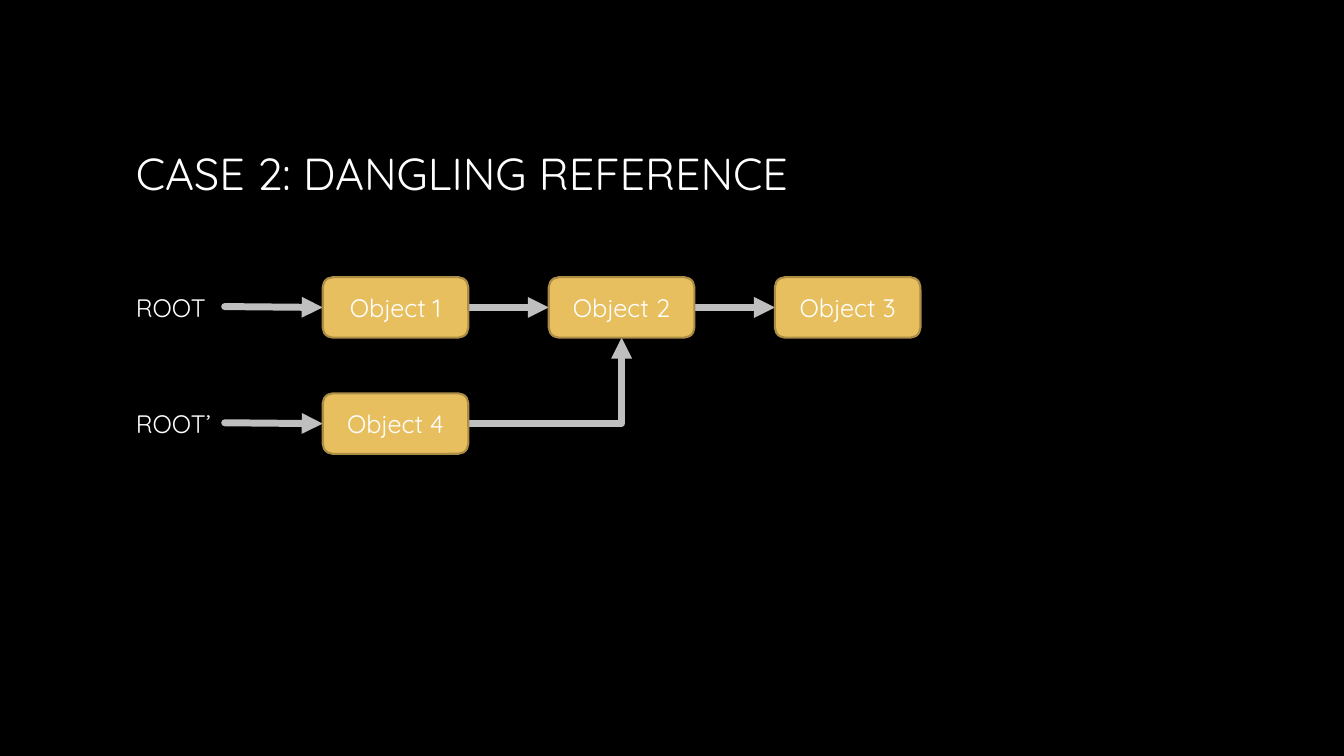
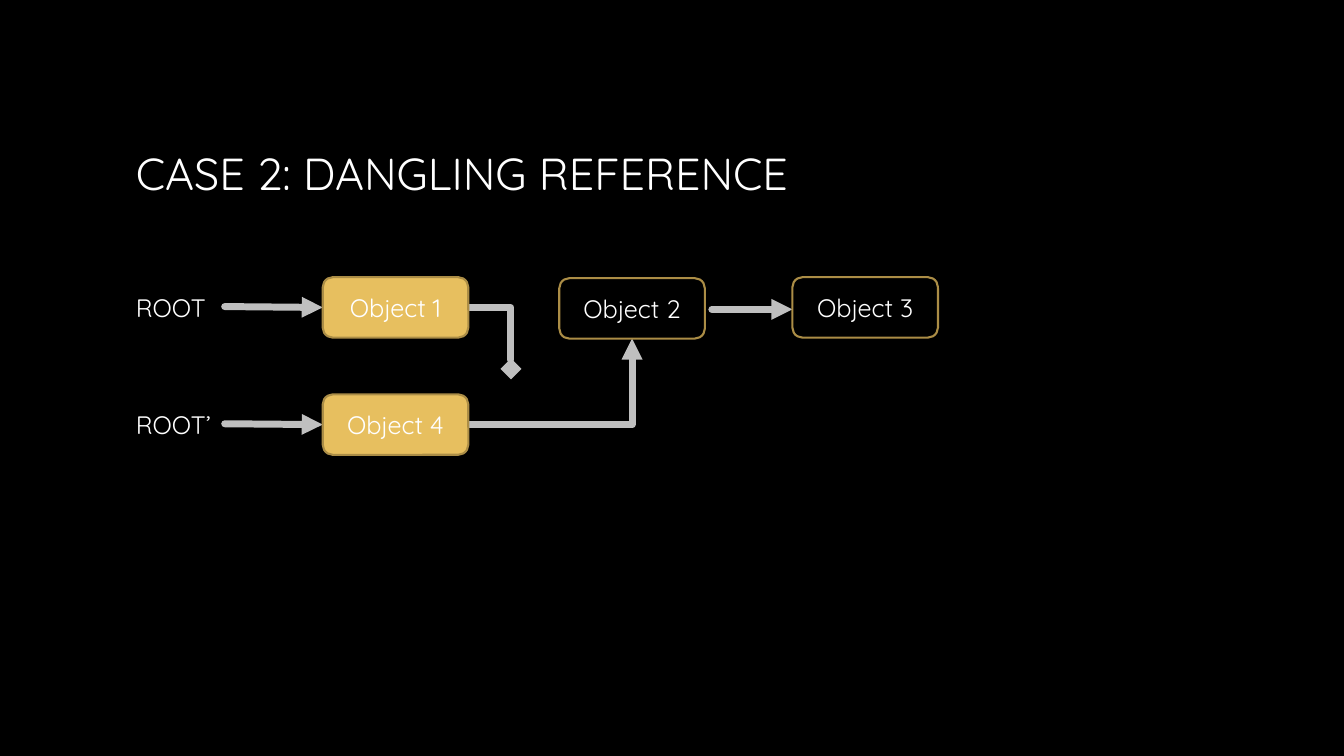
from dataclasses import dataclass

from lxml import etree
from pptx import Presentation
from pptx import util as u
from pptx.dml.color import RGBColor as Rgb
from pptx.enum import shapes, text
from pptx.oxml import ns

TOP, LEFT, BASE, RIGHT = range(4)
LINE, BEND = shapes.MSO_CONNECTOR.STRAIGHT, shapes.MSO_CONNECTOR.ELBOW


@dataclass(frozen=True)
class Theme:
    back: Rgb = Rgb(0, 0, 0)
    ink: Rgb = Rgb(255, 255, 255)
    gold: Rgb = Rgb.from_string("E7BF5F")
    edge: Rgb = Rgb.from_string("AB8D46")
    wire: Rgb = Rgb.from_string("BFBFBF")
    font: str = "Quicksand"
    head: int = 32
    body: int = 18
    thin: float = 1.5
    thick: int = 5


class Deck:
    def __init__(self, theme):
        self.theme = theme
        self.prs = Presentation()
        self.prs.slide_width, self.prs.slide_height = u.Pt(960), u.Pt(540)
        fill = self.prs.slide_master.background.fill
        fill.solid()
        fill.fore_color.rgb = theme.back

    def start(self, title):
        self.slide = self.prs.slides.add_slide(self.prs.slide_layouts[6])
        self.label(title, 90, 48, 780, 150, self.theme.head)

    def words(self, shape, words, size, align):
        frame = shape.text_frame
        frame.word_wrap = True
        frame.vertical_anchor = text.MSO_ANCHOR.MIDDLE
        para = frame.paragraphs[0]
        para.text = words
        para.alignment = align
        para.font.name = self.theme.font
        para.font.size = u.Pt(size)
        para.font.color.rgb = self.theme.ink

    def label(self, words, x, y, wide, high, size):
        box = self.slide.shapes.add_textbox(*map(u.Pt, (x, y, wide, high)))
        self.words(box, words, size, text.PP_ALIGN.LEFT)

    def node(self, words, x, y, live=True):
        box = self.slide.shapes.add_shape(
            shapes.MSO_SHAPE.ROUNDED_RECTANGLE, *map(u.Pt, (x, y, 104, 43.2)))
        box.shadow.inherit = False
        if live:
            box.fill.solid()
            box.fill.fore_color.rgb = self.theme.gold
        else:
            box.fill.background()
        box.line.color.rgb = self.theme.edge
        box.line.width = u.Pt(self.theme.thin)
        self.words(box, words, self.theme.body, text.PP_ALIGN.CENTER)
        return box

    def wire(self, start, end, kind=LINE, tip="triangle"):
        ends = [u.Pt(0)] * 4
        link = self.slide.shapes.add_connector(kind, *ends)
        if isinstance(start[0], (int, float)):
            link.begin_x, link.begin_y = map(u.Pt, start)
        else:
            link.begin_connect(*start)
        if isinstance(end[0], (int, float)):
            link.end_x, link.end_y = map(u.Pt, end)
        else:
            link.end_connect(*end)
        link.line.color.rgb = self.theme.wire
        link.line.width = u.Pt(self.theme.thick)
        props = link._element.spPr
        if kind == BEND:
            props.find(ns.qn("a:prstGeom")).set("prst", "bentConnector2")
        line = props.find(ns.qn("a:ln"))
        line.set("cap", "rnd")
        etree.SubElement(line, ns.qn("a:round"))
        etree.SubElement(line, ns.qn("a:tailEnd")).set("type", tip)
        etree.SubElement(props, ns.qn("a:effectLst"))
        self.slide.shapes._spTree.insert(2, link._element)

    def root(self, words, name, y):
        box = self.node(name, 230.5, y)
        self.label(words, 90, y + 7, 88.5, 29, self.theme.body)
        self.wire((160.5, y + 21), (box, LEFT))
        return box

    def case(self, mid, far, low, live):
        self.start("CASE 2: DANGLING REFERENCE")
        one = self.root("ROOT", "Object 1", 198)
        four = self.root("ROOT’", "Object 4", low)
        two = self.node("Object 2", *mid, live)
        three = self.node("Object 3", *far, live)
        self.wire((four, RIGHT), (two, BASE), BEND)
        if live:
            self.wire((one, RIGHT), (two, LEFT))
            self.wire((two, RIGHT), (three, LEFT))
        else:
            self.wire((one, RIGHT), (365, 263.5), BEND, "diamond")
            self.wire((508.5, 221), (566, 221))


def main():
    deck = Deck(Theme())
    deck.case((392, 198), (553.5, 198), 281, True)
    deck.case((399.5, 198.7), (566, 198), 281.7, False)
    deck.prs.save("out.pptx")


if __name__ == "__main__":
    main()
